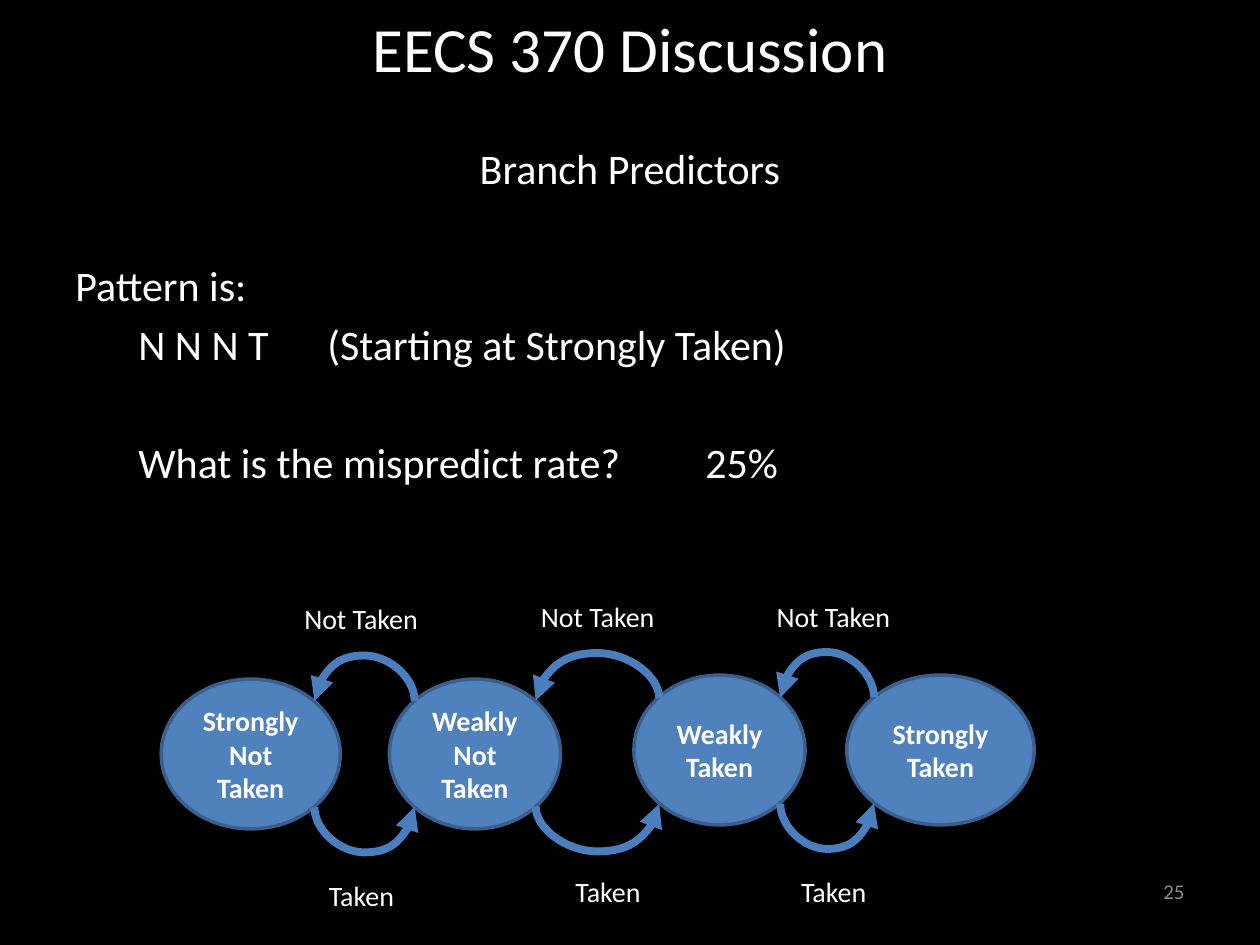
import pptx
import pptx.dml.color
import pptx.enum.shapes
import pptx.enum.text
import pptx.oxml
import pptx.oxml.ns
import pptx.util
from pptx.util import Cm

COLORS = {
    "background": "000000",
    "text": "FFFFFF",
    "number": "8C8C8C",
    "state": "4F81BD",
    "outline": "3A5F8C",
    "arrow": "4B7EBC",
}
ALIGN = pptx.enum.text.PP_ALIGN
ANCHOR = pptx.enum.text.MSO_ANCHOR
ARROW_RISE = 0.91


def color(name):
    return pptx.dml.color.RGBColor.from_string(COLORS[name])


def write_text(shape, text, size=16, fill="text", bold=False, align=ALIGN.LEFT,
               anchor=ANCHOR.TOP):
    frame = shape.text_frame
    frame.word_wrap = True
    frame.vertical_anchor = anchor
    for index, line in enumerate(text.split("\n")):
        paragraph = frame.paragraphs[0] if index == 0 else frame.add_paragraph()
        paragraph.alignment = align
        run = paragraph.add_run()
        run.text = line
        run.font.name = "Calibri"
        run.font.size = pptx.util.Pt(size)
        run.font.bold = bold
        run.font.color.rgb = color(fill)
    return frame


def add_text(slide, box, text, **text_format):
    shape = slide.shapes.add_textbox(*map(Cm, box))
    return write_text(shape, text, **text_format)


def add_state(slide, box, text):
    shape = slide.shapes.add_shape(pptx.enum.shapes.MSO_SHAPE.OVAL, *map(Cm, box))
    shape.shadow.inherit = False
    shape.fill.solid()
    shape.fill.fore_color.rgb = color("state")
    shape.line.color.rgb = color("outline")
    shape.line.width = pptx.util.Pt(2)
    write_text(shape, text, bold=True, align=ALIGN.CENTER, anchor=ANCHOR.MIDDLE)


def add_arc(slide, start, end, middle, drop, rotation):
    span = end - start
    center = (start + end) / 2
    left, top = center - drop / 2, middle - span / 2
    connector = slide.shapes.add_connector(
        pptx.enum.shapes.MSO_CONNECTOR.CURVE,
        Cm(left), Cm(top), Cm(left + drop), Cm(top + span))
    connector.line.color.rgb = color("arrow")
    connector.line.width = pptx.util.Pt(4.5)
    properties = connector._element.spPr
    transform = properties.find(pptx.oxml.ns.qn("a:xfrm"))
    transform.set("rot", str(rotation * 60000))
    transform.set("flipH", "1")
    transform.set("flipV", "1")
    geometry = properties.find(pptx.oxml.ns.qn("a:prstGeom"))
    guides = geometry.find(pptx.oxml.ns.qn("a:avLst"))
    guide = pptx.oxml.parse_xml("<a:gd %s/>" % pptx.oxml.ns.nsdecls("a"))
    guide.set("name", "adj1")
    guide.set("fmla", "val %d" % round(-ARROW_RISE / drop * 100000))
    guides.append(guide)
    line = properties.find(pptx.oxml.ns.qn("a:ln"))
    line.append(pptx.oxml.parse_xml(
        '<a:tailEnd %s type="triangle"/>' % pptx.oxml.ns.nsdecls("a")))
    properties.append(pptx.oxml.parse_xml(
        "<a:effectLst %s/>" % pptx.oxml.ns.nsdecls("a")))


def add_transition(slide, start, end, upper, lower, drop, not_taken, taken):
    add_arc(slide, start, end, upper, drop, 270)
    add_arc(slide, start, end, lower, drop, 90)
    add_text(slide, (*not_taken, 3.38, 1.02), "Not Taken", align=ALIGN.CENTER)
    add_text(slide, (*taken, 2.6, 1.02), "Taken")


def add_question(slide):
    frame = add_text(
        slide, (1.27, 2.74, 22.86, 15.04),
        "Branch Predictors\nPattern is:\n\tN N N T\t(Starting at Strongly Taken)\n"
        "\tWhat is the mispredict rate?\t\t25%",
        size=24)
    frame.paragraphs[0].alignment = ALIGN.CENTER
    for paragraph, gap in zip(frame.paragraphs[1:], (38.4, 4.8, 38.4)):
        paragraph.space_before = pptx.util.Pt(gap)


def main():
    presentation = pptx.Presentation()
    presentation.slide_width = Cm(25.4)
    presentation.slide_height = Cm(19.05)
    slide = presentation.slides.add_slide(presentation.slide_layouts[6])
    slide.background.fill.solid()
    slide.background.fill.fore_color.rgb = color("background")

    add_text(slide, (1.27, -0.64, 22.86, 3.18), "EECS 370 Discussion", size=36,
             align=ALIGN.CENTER, anchor=ANCHOR.MIDDLE)
    add_question(slide)
    add_text(slide, (18.2, 17.45, 5.93, 1.02), "25", size=12, fill="number",
             align=ALIGN.RIGHT, anchor=ANCHOR.MIDDLE)

    for left, top, width, text in (
            (3.25, 13.69, 3.61, "Strongly\nNot Taken"),
            (7.85, 13.69, 3.45, "Weakly Not Taken"),
            (12.78, 13.61, 3.45, "Weakly Taken"),
            (17.07, 13.61, 3.78, "Strongly Taken")):
        add_state(slide, (left, top, width, 3.02), text)

    for transition in (
            (6.34, 8.36, 14.13, 16.27, 0.01, (5.59, 12.01), (6.38, 17.58)),
            (10.8, 13.29, 14.1, 16.23, 0.05, (10.36, 11.96), (11.35, 17.5)),
            (15.73, 17.62, 14.06, 16.2, 0.01, (15.11, 11.96), (15.9, 17.5))):
        add_transition(slide, *transition)

    presentation.save("out.pptx")


if __name__ == "__main__":
    main()
